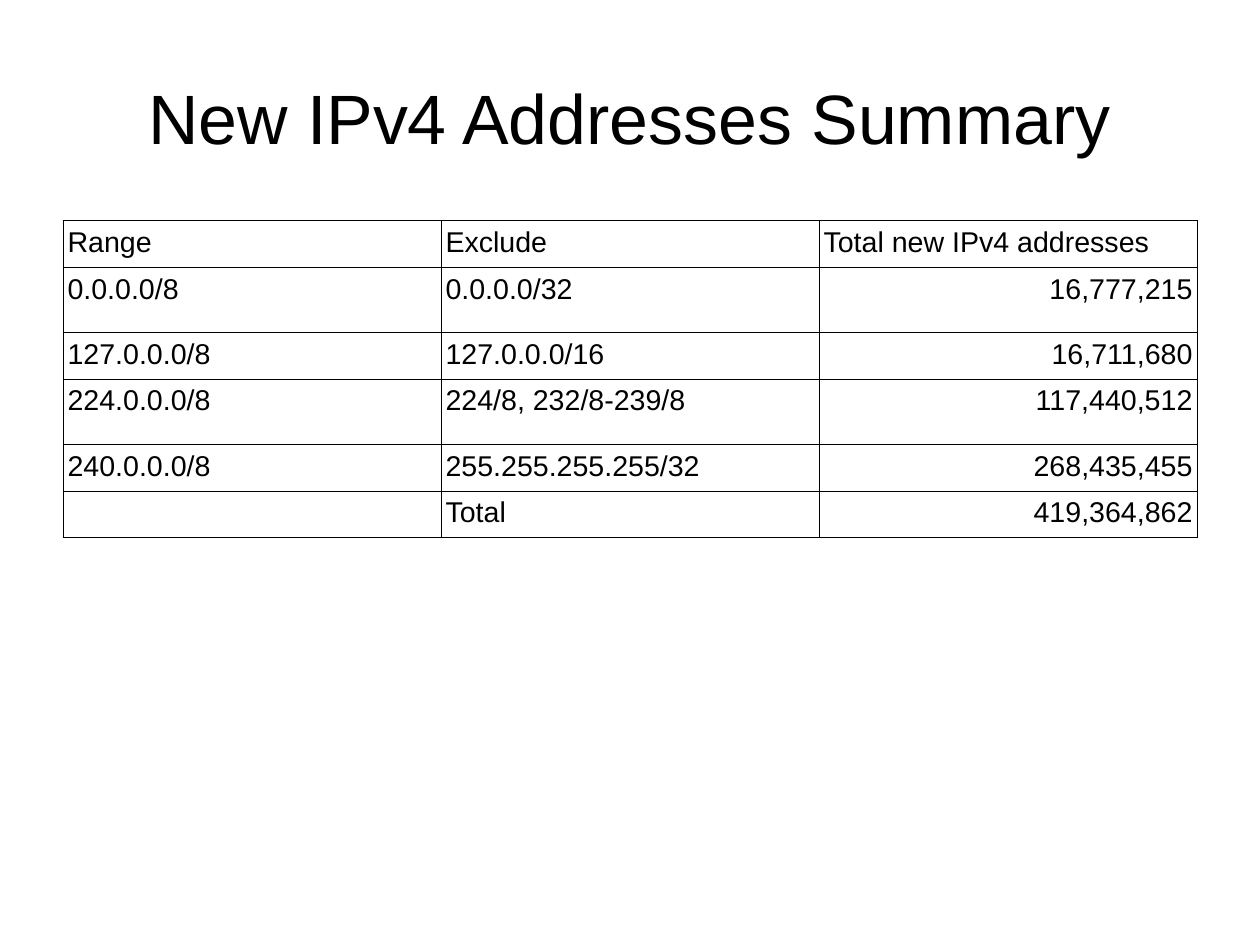
import dataclasses
import typing

import lxml.etree
import pptx
import pptx.dml.color
import pptx.enum.text
import pptx.oxml.ns
import pptx.util

BLACK = pptx.dml.color.RGBColor(0, 0, 0)
FONT_NAME = "Arial"
SLIDE_WIDTH = pptx.util.Cm(28)
SLIDE_HEIGHT = pptx.util.Cm(21)
BORDER_WIDTH = pptx.util.Pt(0.57)
LEFT = pptx.enum.text.PP_ALIGN.LEFT
CENTER = pptx.enum.text.PP_ALIGN.CENTER
RIGHT = pptx.enum.text.PP_ALIGN.RIGHT

# Lengths in percent of the slide's width or height
MARGIN, CONTENT_WIDTH = 5, 90
TITLE_TOP, TITLE_HEIGHT = 4, 16.69
TABLE_TOP = 23.37
PLAIN_ROW, TALL_ROW = 4.93, 6.9

TITLE_FORMAT = {"name": FONT_NAME, "size": pptx.util.Pt(44)}
CELL_FORMAT = {"name": FONT_NAME, "size": pptx.util.Pt(18)}
TITLE_FRAME = {
    "margin_left": 0, "margin_right": 0, "margin_top": 0, "margin_bottom": 0,
    "word_wrap": True, "vertical_anchor": pptx.enum.text.MSO_ANCHOR.MIDDLE,
}
CELL_MARGINS = {
    "margin_left": pptx.util.Inches(0.04), "margin_right": pptx.util.Inches(0.04),
    "margin_top": pptx.util.Inches(0.05), "margin_bottom": pptx.util.Inches(0.05),
}


@dataclasses.dataclass(frozen=True)
class AddressRow:
    address_range: str
    exclude: str
    total: str
    height: float = PLAIN_ROW
    total_alignment: pptx.enum.text.PP_ALIGN = RIGHT


ADDRESS_ROWS = [
    AddressRow("Range", "Exclude", "Total new IPv4 addresses", total_alignment=LEFT),
    AddressRow("0.0.0.0/8", "0.0.0.0/32", "16,777,215", TALL_ROW),
    AddressRow("127.0.0.0/8", "127.0.0.0/16", "16,711,680"),
    AddressRow("224.0.0.0/8", "224/8, 232/8-239/8", "117,440,512", TALL_ROW),
    AddressRow("240.0.0.0/8", "255.255.255.255/32", "268,435,455"),
    AddressRow("", "Total", "419,364,862"),
]
COLUMN_COUNT = 3


def across(percent: float) -> int:
    return round(SLIDE_WIDTH * percent / 100)


def down(percent: float) -> int:
    return round(SLIDE_HEIGHT * percent / 100)


def apply_format(target: typing.Any, values: dict[str, typing.Any]) -> None:
    for attribute, value in values.items():
        setattr(target, attribute, value)


def write_text(text_frame: typing.Any, text: str, alignment: typing.Any,
               font_format: dict[str, typing.Any]) -> None:
    paragraph = text_frame.paragraphs[0]
    paragraph.alignment = alignment
    apply_format(paragraph.font, font_format)
    if text:
        run = paragraph.add_run()
        run.text = text
        apply_format(run.font, font_format)
        run.font.color.rgb = BLACK


def add_borders(cell: typing.Any) -> None:
    qualified = pptx.oxml.ns.qn
    properties = cell._tc.get_or_add_tcPr()
    for side in ("a:lnL", "a:lnR", "a:lnT", "a:lnB"):
        line = lxml.etree.SubElement(properties, qualified(side), w=str(int(BORDER_WIDTH)))
        fill = lxml.etree.SubElement(line, qualified("a:solidFill"))
        lxml.etree.SubElement(fill, qualified("a:srgbClr"), val=str(BLACK))


def add_title(slide: typing.Any, text: str) -> None:
    shape = slide.shapes.add_textbox(across(MARGIN), down(TITLE_TOP),
                                     across(CONTENT_WIDTH), down(TITLE_HEIGHT))
    apply_format(shape.text_frame, TITLE_FRAME)
    write_text(shape.text_frame, text, CENTER, TITLE_FORMAT)


def add_address_table(slide: typing.Any, address_rows: list[AddressRow]) -> None:
    height = sum(address_row.height for address_row in address_rows)
    table = slide.shapes.add_table(len(address_rows), COLUMN_COUNT, across(MARGIN),
                                   down(TABLE_TOP), across(CONTENT_WIDTH), down(height)).table
    apply_format(table, {"first_row": False, "horz_banding": False})
    for row, address_row in zip(table.rows, address_rows):
        row.height = down(address_row.height)
        texts = (address_row.address_range, address_row.exclude, address_row.total)
        alignments = (LEFT, LEFT, address_row.total_alignment)
        for cell, text, alignment in zip(row.cells, texts, alignments):
            apply_format(cell, CELL_MARGINS)
            add_borders(cell)
            cell.fill.background()
            write_text(cell.text_frame, text, alignment, CELL_FORMAT)


def main() -> None:
    presentation = pptx.Presentation()
    presentation.slide_width = SLIDE_WIDTH
    presentation.slide_height = SLIDE_HEIGHT
    slide = presentation.slides.add_slide(presentation.slide_layouts[6])

    # Heading
    add_title(slide, "New IPv4 Addresses Summary")

    # Ranges, exclusions and totals
    add_address_table(slide, ADDRESS_ROWS)

    presentation.save("out.pptx")


if __name__ == "__main__":
    main()
